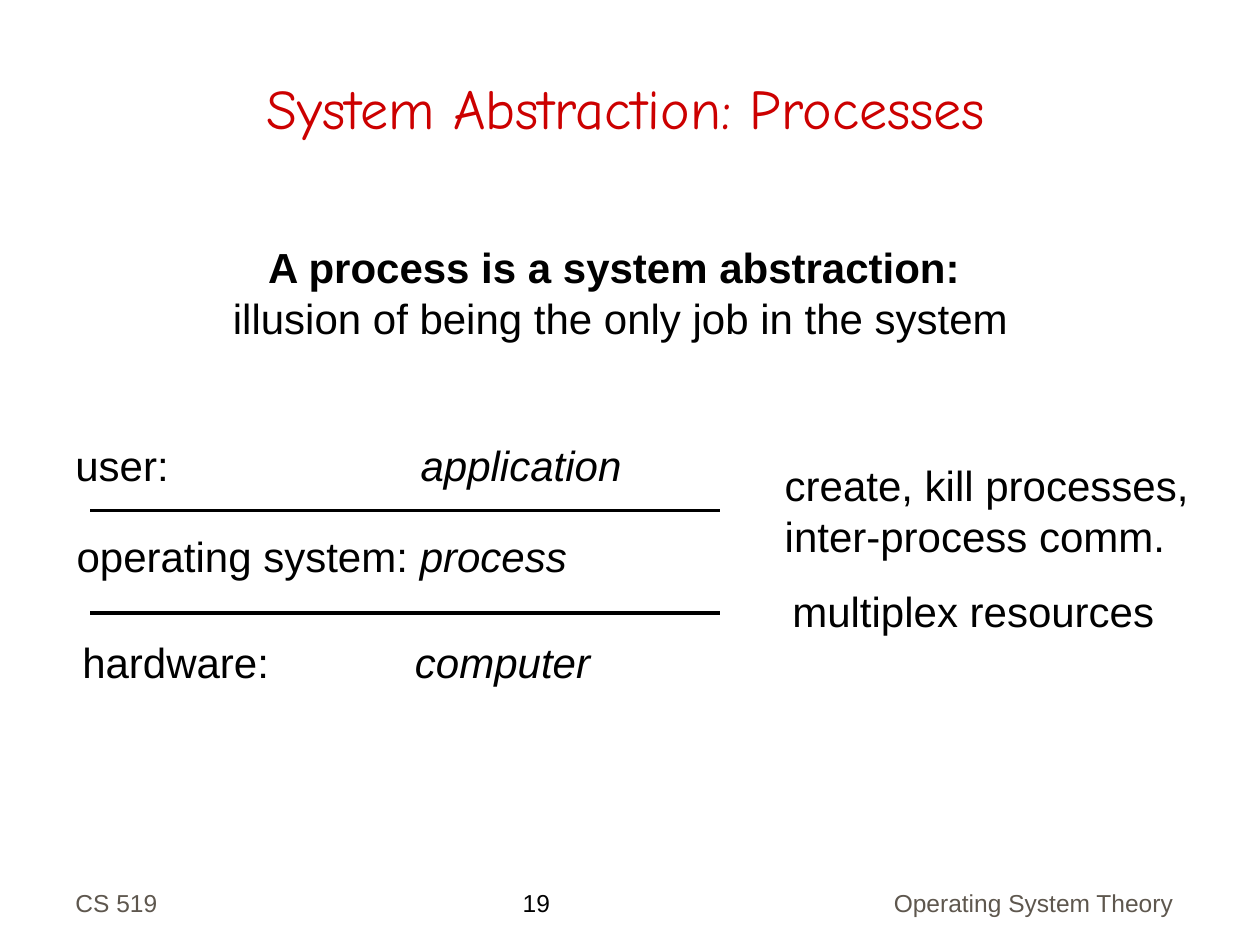
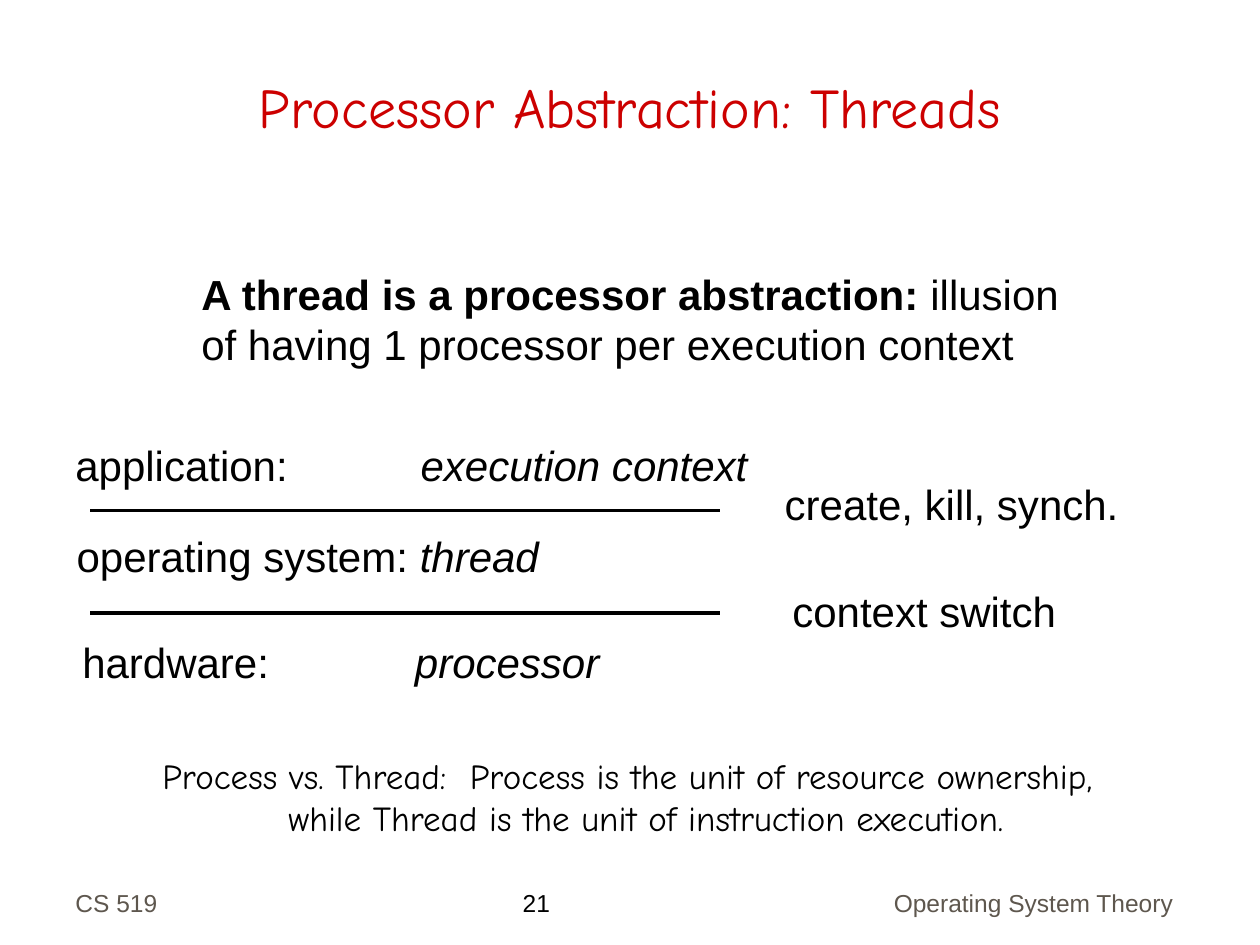
from dataclasses import dataclass

from lxml.etree import SubElement
from pptx import Presentation
from pptx.dml.color import RGBColor
from pptx.enum.shapes import MSO_CONNECTOR
from pptx.enum.text import MSO_ANCHOR, MSO_AUTO_SIZE, PP_ALIGN
from pptx.oxml.ns import qn
from pptx.util import Inches, Pt


@dataclass(frozen=True)
class Theme:
    """Colours, fonts, type sizes and the grid shared by the slides."""
    title: tuple = ("Comic Neue", 32, "CC0000")
    body: tuple = ("Arial", 24, "000000")
    remark: tuple = ("Comic Neue", 20, "000000")
    footer: tuple = ("Arial", 14, "5E574E")
    number: tuple = ("Arial", 14, "000000")
    rule_color: str = "000000"
    rule_width: float = 2
    columns: int = 100
    rows: int = 75


@dataclass(frozen=True)
class Line:
    """A paragraph of (text, format) runs, with an indent and a tab stop in columns."""
    runs: tuple
    indent: float = 0
    tab: float = 0


def plain(text, **options):
    """Return a line with one unformatted run."""
    return Line(((text, {}),), **options)


class Deck:
    """Holds the theme and the current slide and draws each kind of element."""

    def __init__(self, theme):
        """Start an empty presentation with a grid over its slides."""
        self.theme = theme
        self.presentation = Presentation()
        self.presentation.slide_width = Inches(10)
        self.presentation.slide_height = Inches(7.5)
        self.column = self.presentation.slide_width / theme.columns
        self.row = self.presentation.slide_height / theme.rows
        self.slide = None

    def place(self, left, top, width, height):
        """Turn grid columns and rows into lengths."""
        return (round(left * self.column), round(top * self.row),
                round(width * self.column), round(height * self.row))

    def fill_text(self, shape, lines, style, anchor=MSO_ANCHOR.TOP, align=PP_ALIGN.LEFT):
        """Fill a shape with styled lines."""
        frame = shape.text_frame
        settings = {"word_wrap": True, "auto_size": MSO_AUTO_SIZE.NONE,
                    "vertical_anchor": anchor}
        for name, value in settings.items():
            setattr(frame, name, value)
        font_name, size, color = style
        for index, line in enumerate(lines):
            paragraph = frame.add_paragraph() if index else frame.paragraphs[0]
            paragraph.alignment = align
            properties = paragraph._p.get_or_add_pPr()
            if line.indent:
                properties.set("marL", str(round(line.indent * self.column)))
            if line.tab:
                stops = SubElement(properties, qn("a:tabLst"))
                SubElement(stops, qn("a:tab"), pos=str(round(line.tab * self.column)), algn="l")
            for text, formats in line.runs:
                run = paragraph.add_run()
                run.text = text
                values = {"name": font_name, "size": Pt(size), **formats}
                for name, value in values.items():
                    setattr(run.font, name, value)
                run.font.color.rgb = RGBColor.from_string(color)

    def text(self, area, lines, style=None, **options):
        """Add a text box on the grid."""
        box = self.slide.shapes.add_textbox(*self.place(*area))
        self.fill_text(box, lines, style or self.theme.body, **options)

    def rule(self, left, top, width):
        """Add a horizontal line."""
        x, y, length, _ = self.place(left, top, width, 0)
        connector = self.slide.shapes.add_connector(MSO_CONNECTOR.STRAIGHT, x, y, x + length, y)
        connector.line.color.rgb = RGBColor.from_string(self.theme.rule_color)
        connector.line.width = Pt(self.theme.rule_width)
        SubElement(connector._element.spPr, qn("a:effectLst"))

    def start_slide(self, title, title_area, number):
        """Add a slide with its title, footers and number."""
        self.slide = self.presentation.slides.add_slide(self.presentation.slide_layouts[5])
        shape = self.slide.shapes.title
        shape.left, shape.top, shape.width, shape.height = self.place(*title_area)
        self.fill_text(shape, [plain(title)], self.theme.title,
                       MSO_ANCHOR.BOTTOM, PP_ALIGN.CENTER)
        self.text((40.5, 70, 10.9, 3.4), [plain(number)], self.theme.number)
        self.text((5, 68.3, 20.8, 5), [plain("CS 519")], self.theme.footer,
                  anchor=MSO_ANCHOR.BOTTOM)
        self.text((69, 67.6, 25.1, 5.7), [plain("Operating System Theory")], self.theme.footer,
                  anchor=MSO_ANCHOR.BOTTOM, align=PP_ALIGN.RIGHT)

    def layers(self, top_layer, abstractions):
        """Add the three system layers, each with its abstraction, between two rules."""
        for top in (40.5, 48.65):
            self.rule(7.15, top, 50)
        labels = ((top_layer + "\t", 5, 34.4, 27.4),
                  ("operating system: ", 5.1, 41.6, 0),
                  ("hardware:\t", 5.55, 50, 26.4))
        for (label, left, top, tab), abstraction in zip(labels, abstractions):
            runs = ((label, {}), (abstraction, {"italic": True}))
            self.text((left, top, 56, 5), [Line(runs, tab=tab)])

    def services(self, upper_top, upper, lower):
        """Add the services offered beside the two layer boundaries."""
        self.text((61.3, upper_top, 36, 1 + 4 * len(upper)), [plain(text) for text in upper])
        self.text((61.9, 46, 33, 5), [plain(lower)])


def main():
    """Build and save both slides."""
    theme = Theme()
    deck = Deck(theme)
    bold = {"bold": True}

    deck.start_slide("System Abstraction: Processes", (4.4, 2.5, 90.6, 9.2), "19")
    deck.text((17.5, 18.7, 66.7, 9),
              [Line((("A process is a system abstraction:", bold),), indent=2.8),
               plain("illusion of being the only job in the system")])
    deck.layers("user:", ("application", "process", "computer"))
    deck.services(36, ("create, kill processes,", "inter-process comm."), "multiplex resources")

    deck.start_slide("Processor Abstraction: Threads", (2.5, 1.7, 95, 9.9), "21")
    deck.text((15, 20.8, 71.7, 9),
              [Line((("A thread is a processor abstraction: ", bold),
                     ("illusion of having 1 processor per execution context", {})))])
    deck.layers("application:", ("execution context", "thread", "processor"))
    deck.services(37.5, ("create, kill, synch.",), "context switch")
    deck.text((11.9, 59.4, 78, 7.7),
              [plain("Process vs. Thread:\tProcess is the unit of resource ownership,", tab=24.4),
               plain("while Thread is the unit of instruction execution.", indent=10)],
              theme.remark)

    deck.presentation.save("out.pptx")


if __name__ == "__main__":
    main()
